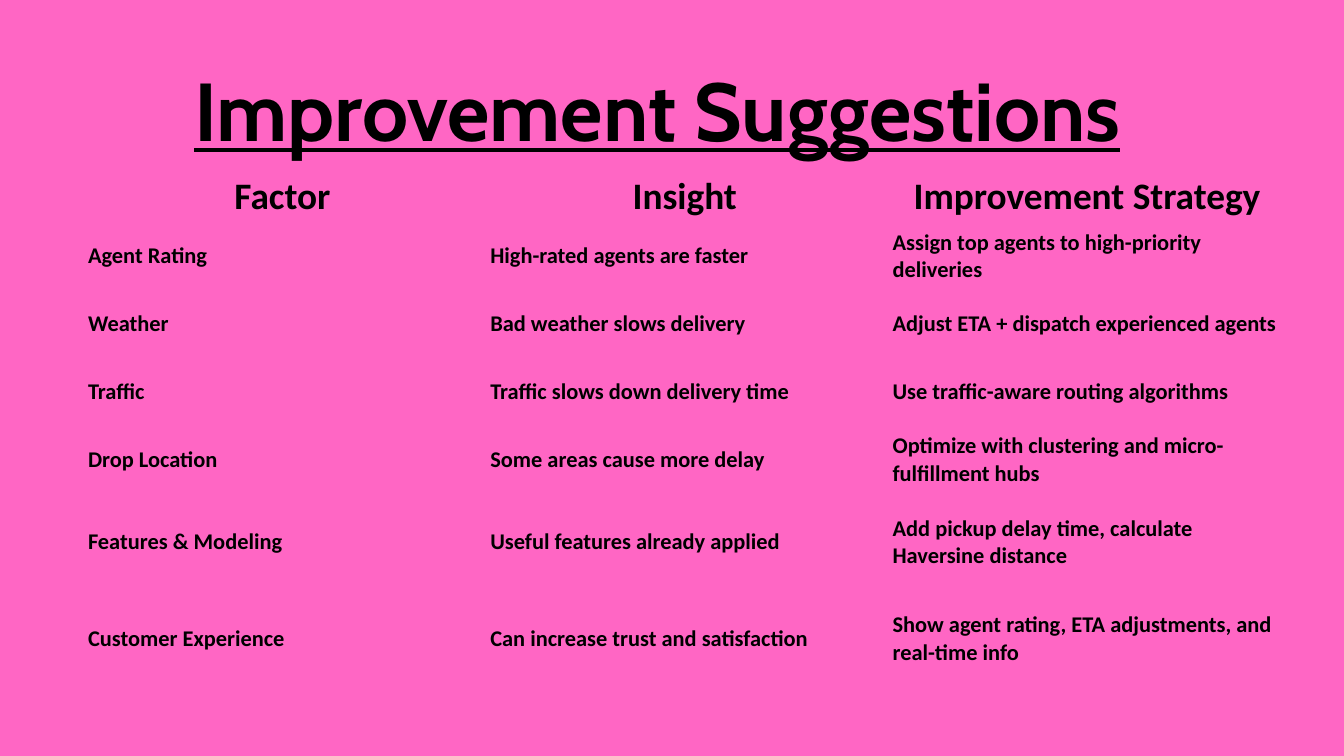
import pptx
import pptx.dml.color
import pptx.enum.text
import pptx.util

PINK = pptx.dml.color.RGBColor(0xFF, 0x66, 0xC4)
BLACK = pptx.dml.color.RGBColor(0, 0, 0)
PLAIN_TABLE = "{2D5ABB26-0587-4C30-8999-92F81FD0307C}"
CENTER = pptx.enum.text.PP_ALIGN.CENTER
LEFT = pptx.enum.text.PP_ALIGN.LEFT

ROWS = [
    ("Factor", "Insight", "Improvement Strategy"),
    ("Agent Rating", "High-rated agents are faster",
     "Assign top agents to high-priority deliveries"),
    ("Weather", "Bad weather slows delivery",
     "Adjust ETA + dispatch experienced agents"),
    ("Traffic", "Traffic slows down delivery time",
     "Use traffic-aware routing algorithms"),
    ("Drop Location", "Some areas cause more delay",
     "Optimize with clustering and micro-fulfillment hubs"),
    ("Features & Modeling", "Useful features already applied",
     "Add pickup delay time, calculate Haversine distance"),
    ("Customer Experience", "Can increase trust and satisfaction",
     "Show agent rating, ETA adjustments, and real-time info"),
]
ROW_HEIGHTS = [0.58] + [1.01] * 4 + [1.44] * 2


class Slide:
    def __init__(self, deck, background):
        self.width, self.height = deck.slide_width, deck.slide_height
        self.page = deck.slides.add_slide(deck.slide_layouts[6])
        fill = self.page.background.fill
        fill.solid()
        fill.fore_color.rgb = background

    def area(self, left, top, width, height):
        return (int(self.width * left / 100), int(self.height * top / 100),
                int(self.width * width / 100), int(self.height * height / 100))

    def style(self, para, face, size, align):
        para.alignment = align
        font = para.font
        font.name, font.size, font.bold = face, pptx.util.Pt(size), True
        font.color.rgb = BLACK

    def title(self, text, *shares):
        box = self.page.shapes.add_textbox(*self.area(*shares))
        frame = box.text_frame
        frame.word_wrap = True
        frame.auto_size = pptx.enum.text.MSO_AUTO_SIZE.SHAPE_TO_FIT_TEXT
        frame.margin_left = frame.margin_right = 0
        frame.margin_top = frame.margin_bottom = 0
        para = frame.paragraphs[0]
        para.text = text
        para.line_spacing = pptx.util.Pt(128.8)
        self.style(para, "Cabin", 88, CENTER)
        para.font.underline = True

    def table(self, rows, heights, *shares):
        frame = self.page.shapes.add_table(
            len(rows), len(rows[0]), *self.area(*shares))
        table = frame.table
        table.horz_banding = False
        table._tbl.tblPr.find(pptx.oxml.ns.qn("a:tableStyleId")).text = PLAIN_TABLE
        for index, (texts, height) in enumerate(zip(rows, heights)):
            table.rows[index].height = pptx.util.Inches(height)
            size, align = (40, CENTER) if index == 0 else (24, LEFT)
            for cell, text in zip(table.rows[index].cells, texts):
                cell.text = text
                cell.fill.background()
                cell.vertical_anchor = pptx.enum.text.MSO_ANCHOR.MIDDLE
                self.style(cell.text_frame.paragraphs[0], "Calibri", size, align)


def main():
    deck = pptx.Presentation()
    deck.slide_width = pptx.util.Inches(20)
    deck.slide_height = pptx.util.Inches(11.25)
    slide = Slide(deck, PINK)
    slide.title("Improvement Suggestions", 8.1, 4.98, 81.6, 14.93)
    slide.table(ROWS, ROW_HEIGHTS, 6.05, 22.58, 89.8, 68.27)
    deck.save("out.pptx")


if __name__ == "__main__":
    main()
